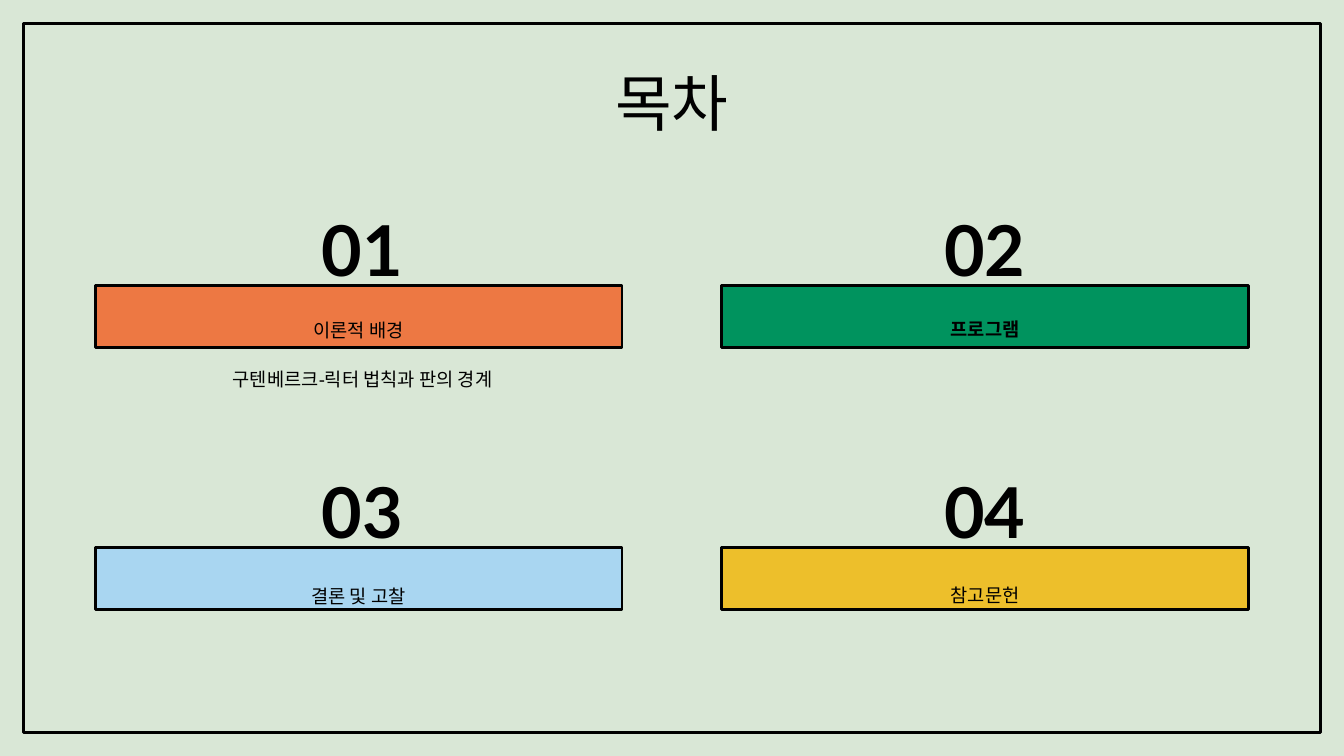
"""Builds the Korean table-of-contents slide with four numbered sections."""
from pptx import Presentation
from pptx.dml.color import RGBColor
from pptx.enum.shapes import MSO_SHAPE
from pptx.enum.text import PP_ALIGN
from pptx.util import Cm, Pt


def add_box(left, top, width, height, fill=None):
    shape = slide.shapes.add_shape(MSO_SHAPE.RECTANGLE, Cm(left), Cm(top), Cm(width), Cm(height))
    shape.shadow.inherit = False
    if fill:
        shape.fill.solid()
        shape.fill.fore_color.rgb = RGBColor.from_string(fill)
    else:
        shape.fill.background()
    shape.line.color.rgb = RGBColor.from_string("000000")
    shape.line.width = Pt(3)


def add_text(text, left, top, width, height, size, spacing, bold=False, font="Lato"):
    shape = slide.shapes.add_textbox(Cm(left), Cm(top), Cm(width), Cm(height))
    frame = shape.text_frame
    frame.word_wrap = True
    frame.margin_left = frame.margin_right = frame.margin_top = frame.margin_bottom = 0
    paragraph = frame.paragraphs[0]
    paragraph.text = text
    paragraph.alignment = PP_ALIGN.CENTER
    paragraph.line_spacing = spacing
    paragraph.font.name = font
    paragraph.font.size = Pt(size)
    paragraph.font.bold = bold
    paragraph.font.color.rgb = RGBColor.from_string("000000")


presentation = Presentation()
presentation.slide_width = Cm(50.8)
presentation.slide_height = Cm(28.575)
slide = presentation.slides.add_slide(presentation.slide_layouts[6])
slide.background.fill.solid()
slide.background.fill.fore_color.rgb = RGBColor.from_string("D9E7D6")

add_box(0.89, 0.89, 49.02, 26.8)
add_text("목차", 5.92, 2.24, 38.96, 3.05, 66, 1.08)

bar_lefts = [3.6, 27.28]
number_lefts = [10.54, 34.06]
bar_tops = [10.8, 20.7]
sections = [
    ("이론적 배경", "ED7843", 10.8, False),
    ("프로그램", "00935E", 10.74, True),
    ("결론 및 고찰", "A9D6F1", 20.83, False),
    ("참고문헌", "EDBF2B", 20.8, False),
]
for index, (title, color, title_top, bold) in enumerate(sections):
    row, column = divmod(index, 2)
    bar_left, bar_top = bar_lefts[column], bar_tops[row]
    add_text(f"{index + 1:02}", number_lefts[column], bar_top - 3.24, 6.32, 3.2, 75.1, 1.08, True)
    add_box(bar_left, bar_top, 19.91, 2.34, color)
    add_text(title, bar_left + 1.19, title_top, 17.53, 2.13, 20, 2.5, bold)

add_text("구텐베르크-릭터 법칙과 판의 경계", 7.47, 13.72, 12.47, 1.02, 20, 1.2, font="Arial")

presentation.save("out.pptx")
